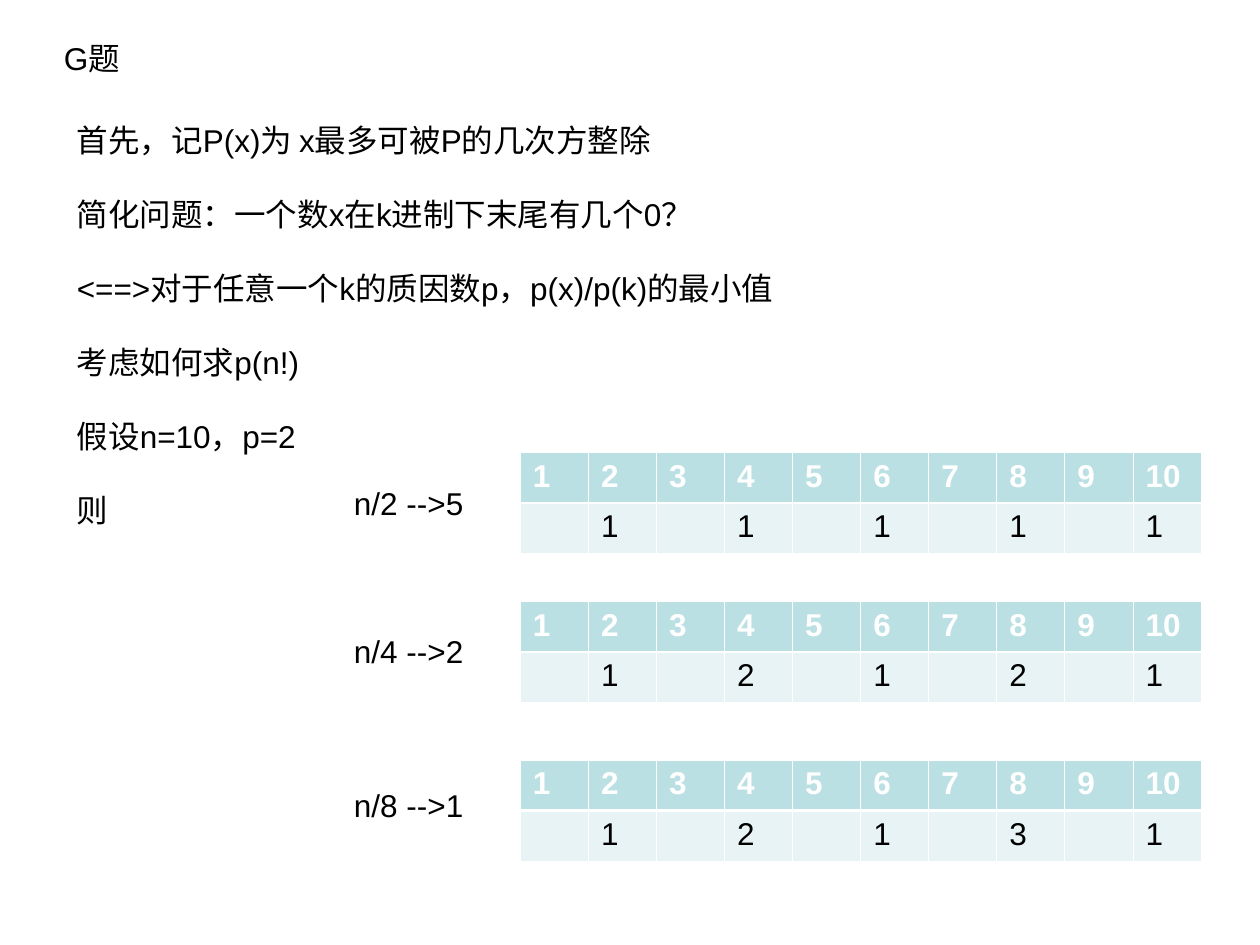
"""Build the slide on counting the factor 2 in n!, with one table per power of two."""
from dataclasses import dataclass

from lxml import etree
from pptx import Presentation
from pptx import util as u
from pptx.dml.color import RGBColor
from pptx.enum import text
from pptx.oxml import ns

BLACK = RGBColor(0x00, 0x00, 0x00)
WHITE = RGBColor(0xFF, 0xFF, 0xFF)
HEADER_FILL = RGBColor(0xBB, 0xE0, 0xE3)
BODY_FILL = RGBColor(0xE7, 0xF3, 0xF4)
FONT = "Arial"
SIZE = u.Pt(18)
N = 10
THIN, THICK = u.Pt(0.45), u.Pt(1.47)
LINE_HEIGHT = u.Cm(1.02)
TABLE_LEFT, TABLE_WIDTH, ROW_HEIGHT = u.Cm(10.49), u.Cm(13.72), u.Cm(1.02)
LABEL_LEFT, LABEL_WIDTH = u.Cm(6.71), u.Cm(3.18)

EXPLANATION = [
    "首先，记P(x)为 x最多可被P的几次方整除",
    "简化问题：一个数x在k进制下末尾有几个0？",
    "<==>对于任意一个k的质因数p，p(x)/p(k)的最小值",
    "考虑如何求p(n!)",
    "假设n=10，p=2",
    "则",
]


@dataclass(frozen=True)
class Step:
    power: int
    label_top: u.Length
    table_top: u.Length


STEPS = [
    Step(1, u.Cm(9.63), u.Cm(9.12)),
    Step(2, u.Cm(12.62), u.Cm(12.12)),
    Step(3, u.Cm(15.72), u.Cm(15.32)),
]


def write(para, words: str, *, color: RGBColor = BLACK, bold: bool = False) -> None:
    span = para.add_run()
    span.text = words
    span.font.name = FONT
    span.font.size = SIZE
    span.font.bold = bold
    span.font.color.rgb = color


def add_text(page, lines: list[str], left: u.Length, top: u.Length, width: u.Length,
             height: u.Length, *, gap: u.Length = u.Pt(0)) -> None:
    frame = page.shapes.add_textbox(left, top, width, height).text_frame
    frame.word_wrap = True
    frame.auto_size = text.MSO_AUTO_SIZE.SHAPE_TO_FIT_TEXT
    for index, line in enumerate(lines):
        para = frame.add_paragraph() if index else frame.paragraphs[0]
        para.space_before = gap if index else u.Pt(0)
        write(para, line)


def add_borders(cell, *, top: u.Length, bottom: u.Length) -> None:
    properties = cell._tc.get_or_add_tcPr()
    sides = {"lnL": THIN, "lnR": THIN, "lnT": top, "lnB": bottom}
    for index, (side, width) in enumerate(sides.items()):
        line = etree.Element(ns.qn(f"a:{side}"), w=str(int(width)))
        fill = etree.SubElement(line, ns.qn("a:solidFill"))
        etree.SubElement(fill, ns.qn("a:srgbClr"), val=str(WHITE))
        properties.insert(index, line)


def fill_cell(cell, words: str, *, header: bool) -> None:
    cell.fill.solid()
    cell.fill.fore_color.rgb = HEADER_FILL if header else BODY_FILL
    add_borders(cell, top=THIN if header else THICK, bottom=THICK if header else THIN)
    if words:
        write(cell.text_frame.paragraphs[0], words,
              color=WHITE if header else BLACK, bold=header)


def add_step(page, step: Step) -> None:
    divisor = 2 ** step.power
    add_text(page, [f" n/{divisor} -->{N // divisor}"],
             LABEL_LEFT, step.label_top, LABEL_WIDTH, LINE_HEIGHT)
    table = page.shapes.add_table(2, N, TABLE_LEFT, step.table_top,
                                  TABLE_WIDTH, 2 * ROW_HEIGHT).table
    for column in range(N):
        number = column + 1
        count = sum(number % 2 ** power == 0 for power in range(1, step.power + 1))
        fill_cell(table.cell(0, column), str(number), header=True)
        fill_cell(table.cell(1, column), str(count) if count else "", header=False)


def main() -> None:
    deck = Presentation()
    deck.slide_width, deck.slide_height = u.Cm(25.4), u.Cm(19.05)
    page = deck.slides.add_slide(deck.slide_layouts[6])
    add_text(page, ["G题"], u.Cm(1.04), u.Cm(0.66), u.Cm(3.07), LINE_HEIGHT)
    add_text(page, EXPLANATION, u.Cm(1.3), u.Cm(2.31), u.Cm(22.66), u.Cm(8.64),
             gap=u.Pt(20.7))
    for step in STEPS:
        add_step(page, step)
    deck.save("out.pptx")


main()
